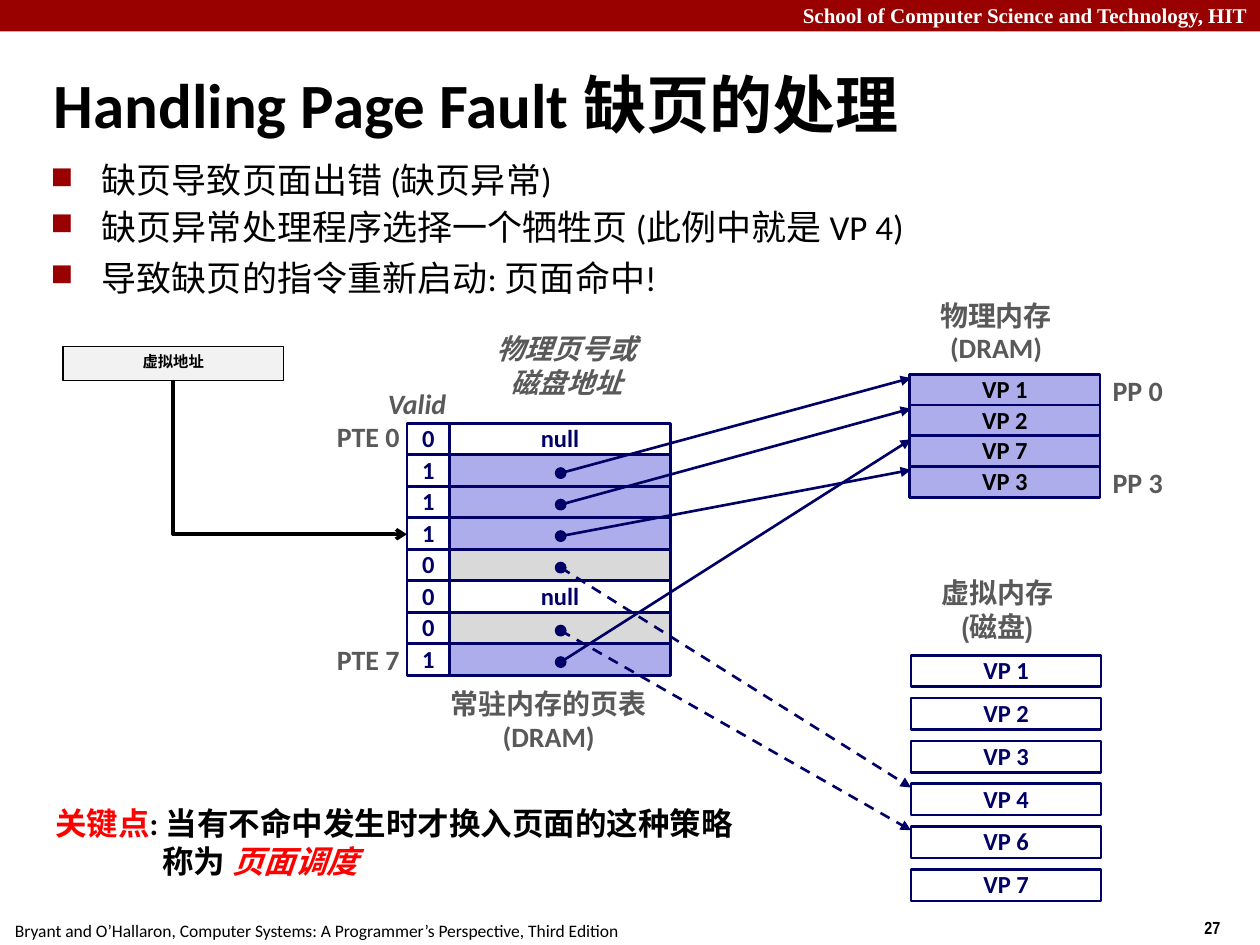
from collections import namedtuple

from lxml import etree
from pptx import Presentation
from pptx.dml.color import RGBColor
from pptx.enum.dml import MSO_LINE
from pptx.enum.shapes import MSO_CONNECTOR, MSO_SHAPE
from pptx.enum.text import MSO_ANCHOR, MSO_AUTO_SIZE, PP_ALIGN
from pptx.oxml.ns import qn
from pptx.util import Inches, Pt

BLACK = RGBColor(0x00, 0x00, 0x00)
WHITE = RGBColor(0xFF, 0xFF, 0xFF)
CRIMSON = RGBColor(0x99, 0x00, 0x00)
RED = RGBColor(0xFF, 0x00, 0x00)
NAVY = RGBColor(0x00, 0x00, 0x66)
LILAC = RGBColor(0xAD, 0xAD, 0xEB)
SILVER = RGBColor(0xD9, 0xD9, 0xD9)
PALE = RGBColor(0xF2, 0xF2, 0xF2)
GRAY = RGBColor(0x59, 0x59, 0x59)
RECT, OVAL = MSO_SHAPE.RECTANGLE, MSO_SHAPE.OVAL
STRAIGHT, ELBOW = MSO_CONNECTOR.STRAIGHT, MSO_CONNECTOR.ELBOW
LEFT, CENTER, RIGHT = PP_ALIGN.LEFT, PP_ALIGN.CENTER, PP_ALIGN.RIGHT
TOP, MIDDLE = MSO_ANCHOR.TOP, MSO_ANCHOR.MIDDLE
FIT, FIXED = MSO_AUTO_SIZE.SHAPE_TO_FIT_TEXT, MSO_AUTO_SIZE.NONE
DASH = MSO_LINE.DASH

ROW = 0.25
Style = namedtuple("Style", "size color font bold italic", defaults=("Calibri", True, False))
CELL = Style(14, NAVY)
LABEL = Style(16, GRAY)
CJK_LABEL = Style(16, GRAY, "Arial Narrow")


def inches(*values):
    """Convert numbers to lengths in inches."""
    return [Inches(v) for v in values]


def write(tf, lines, align=LEFT, anchor=TOP, spacing=None, wrap=False):
    """Fill a text frame with lines, each a list of (text, style) runs."""
    tf.word_wrap, tf.vertical_anchor = wrap, anchor
    for i, line in enumerate(lines):
        p = tf.add_paragraph() if i else tf.paragraphs[0]
        p.alignment, p.line_spacing = align, spacing
        for text, style in line:
            r = p.add_run()
            r.text = text
            r.font.size, r.font.name = Pt(style.size), style.font
            r.font.bold, r.font.italic = style.bold, style.italic
            r.font.color.rgb = style.color


def add_text(s, box, lines, grow=True, **layout):
    """Add a text box and return its text frame."""
    tf = s.shapes.add_textbox(*inches(*box)).text_frame
    write(tf, lines, **layout)
    tf.auto_size = FIT if grow else FIXED
    return tf


def add_box(s, box, fill, line=NAVY, width=1.5, kind=RECT):
    """Add a preset shape without shadow."""
    sp = s.shapes.add_shape(kind, *inches(*box))
    sp.shadow.inherit = False
    if fill is None:
        sp.fill.background()
    else:
        sp.fill.solid()
        sp.fill.fore_color.rgb = fill
    if line is None:
        sp.line.fill.background()
    else:
        sp.line.color.rgb, sp.line.width = line, Pt(width)
    return sp


def add_arrow(s, ends, color=NAVY, width=1.5, dashed=False, kind=STRAIGHT, head="triangle"):
    """Add a connector with an arrowhead at its end."""
    cxn = s.shapes.add_connector(kind, *inches(*ends))
    cxn.line.color.rgb, cxn.line.width = color, Pt(width)
    if dashed:
        cxn.line.dash_style = DASH
    etree.SubElement(cxn.line._get_or_add_ln(), qn("a:tailEnd"), type=head)
    etree.SubElement(cxn._element.spPr, qn("a:effectLst"))
    return cxn


def stack(s, box, labels, fills, style):
    """Stack evenly spaced labelled rows in a box and return their tops."""
    x, y, w, h = box
    pitch = (h - ROW) / (len(labels) - 1)
    tops = [y + i * pitch for i in range(len(labels))]
    for top, label, fill in zip(tops, labels, fills):
        sp = add_box(s, (x, top, w, ROW), fill)
        if label:
            write(sp.text_frame, [[(label, style)]], CENTER, MIDDLE, 0.98)
    return tops


def frame(s, w, h):
    """Draw the header band, footer and page number."""
    add_box(s, (0, 0, w, h / 30), CRIMSON, None)
    add_text(s, (0, -0.03, w, 0.3), [[("School of Computer Science and Technology, HIT",
             Style(12, WHITE, "Times New Roman"))]], align=RIGHT, wrap=True)
    add_text(s, (0.02, h - 0.25, 5.01, 0.27), [[(
        "Bryant and O’Hallaron, Computer Systems: A Programmer’s Perspective, Third Edition",
        Style(10, BLACK, bold=False))]])
    add_text(s, (w - 0.54, h - 0.27, 0.75, 0.27), [[("27", Style(10, BLACK, "Arial Narrow"))]])


def bullets(s, box, items):
    """Write a list with square bullets."""
    style = Style(20, BLACK, bold=False)
    tf = add_text(s, box, [[(item, style)] for item in items], grow=False, wrap=True)
    for i, p in enumerate(tf.paragraphs):
        pPr = p._p.get_or_add_pPr()
        pPr.set("marL", str(Inches(0.38)))
        pPr.set("indent", str(-Inches(0.38)))
        color = etree.SubElement(pPr, qn("a:buClr"))
        etree.SubElement(color, qn("a:srgbClr"), val=str(CRIMSON))
        etree.SubElement(pPr, qn("a:buSzPct"), val="60000")
        etree.SubElement(pPr, qn("a:buFont"), typeface="Wingdings 2", charset="2")
        etree.SubElement(pPr, qn("a:buChar"), char="¢")
        p.line_spacing = 0.9 if i < 2 else 1.0
        p.space_before = Pt(5 if i else 0)


def page_table(s, box):
    """Draw the page table and return the pointer origins by row."""
    x, y, w, h = box
    flag_w = 0.34
    fills = [WHITE, LILAC, LILAC, LILAC, SILVER, WHITE, SILVER, LILAC]
    labels = ["null" if fill == WHITE else "" for fill in fills]
    tops = stack(s, (x + flag_w, y, w - flag_w, h), labels, fills, CELL)
    stack(s, (x, y, flag_w, h), "01110001", [None] * 8, CELL)
    dots = {}
    for i, top in enumerate(tops):
        if not labels[i]:
            cx, cy = x + 1.22, top + ROW / 2 + 0.02
            add_box(s, (cx - 0.04, cy - 0.04, 0.08, 0.08), NAVY, width=1, kind=OVAL)
            dots[i] = cx, cy
    for text, top in (("PTE 0", y - 0.07), ("PTE 7", y + 1.7)):
        add_text(s, (x - 0.66, top, 0.7, 0.36), [[(text, LABEL)]],
                 align=RIGHT, anchor=MIDDLE, spacing=0.98)
    add_text(s, (x - 0.25, y - 0.33, 0.75, 0.36),
             [[("Valid", LABEL._replace(italic=True))]], spacing=0.98, wrap=True)
    slanted = CJK_LABEL._replace(italic=True)
    add_text(s, (x + 0.61, y - 0.78, 1.31, 0.64),
             [[("物理页号或", slanted)], [("磁盘地址", slanted)]], align=CENTER, anchor=MIDDLE)
    add_text(s, (x + 0.25, y + h + 0.05, 1.75, 0.63),
             [[("常驻内存的页表", CJK_LABEL)], [("(DRAM)", LABEL)]], align=CENTER, spacing=0.98)
    return dots


def memory(s, box, caption, pages, fill, style, rise, spacing=None):
    """Draw a memory with a caption rising above it and return the top of each page."""
    x, y, w, h = box
    add_text(s, (x - 0.07, y - rise, w, 0.64), caption, align=CENTER, spacing=spacing)
    return stack(s, box, pages, [fill] * len(pages), style)


def address_input(s, box, end):
    """Draw the virtual address and its bent arrow to the page table."""
    x, y, w, h = box
    sp = add_box(s, box, PALE, BLACK, 1)
    write(sp.text_frame, [[("虚拟地址", Style(8.8, BLACK, "Arial Narrow"))]],
          CENTER, MIDDLE, 0.8, True)
    x1, y1, x2, y2 = x + w / 2, y + h, *end
    cx, cy, run, drop = (x1 + x2) / 2, (y1 + y2) / 2, x2 - x1, y2 - y1
    ends = cx - drop / 2, cy - run / 2, cx + drop / 2, cy + run / 2
    cxn = add_arrow(s, ends, BLACK, 2, kind=ELBOW, head="arrow")
    spPr = cxn._element.spPr
    spPr.find(qn("a:prstGeom")).set("prst", "bentConnector2")
    xfrm = spPr.find(qn("a:xfrm"))
    xfrm.set("rot", "16200000")
    xfrm.set("flipH", "1")


def key_point(s, box):
    """Write the conclusion with an indented second line."""
    black, red = Style(18, BLACK), Style(18, RED)
    tf = add_text(s, box, [[("关键点", red), (": 当有不命中发生时才换入页面的这种策略", black)],
                           [("称为 ", black), ("页面调度", red._replace(italic=True))]], wrap=True)
    tf.paragraphs[1]._p.get_or_add_pPr().set("marL", str(Inches(0.85)))


def main():
    """Build and save the slide."""
    prs = Presentation()
    w, h = 10, 7.5
    prs.slide_width, prs.slide_height = inches(w, h)
    s = prs.slides.add_slide(prs.slide_layouts[6])
    frame(s, w, h)
    add_text(s, (0.33, 0.39, 9.06, 0.86), [[("Handling Page Fault 缺页的处理", Style(36, BLACK))]],
             grow=False, anchor=MIDDLE, wrap=True)
    bullets(s, (0.33, 1.25, 9.09, 1.24), ["缺页导致页面出错 (缺页异常)",
            "缺页异常处理程序选择一个牺牲页 (此例中就是 VP 4)", "导致缺页的指令重新启动: 页面命中!"])
    dots = page_table(s, (3.23, 3.36, 2.09, 8 * ROW))
    dram = memory(s, (7.22, 2.97, 1.51, 0.98), [[("物理内存", CJK_LABEL)], [("(DRAM)", LABEL)]],
                  ["VP 1", "VP 2", "VP 7", "VP 3"], LILAC, CELL._replace(color=BLACK), 0.64, 0.98)
    for text, top in (("PP 0", dram[0]), ("PP 3", dram[3])):
        add_text(s, (8.73, top - 0.04, 0.6, 0.36), [[(text, LABEL)]],
                 align=CENTER, anchor=MIDDLE, spacing=0.98)
    disk = memory(s, (7.23, 5.2, 1.51, 1.95), [[("虚拟内存", CJK_LABEL)], [("(磁盘)", CJK_LABEL)]],
                  [f"VP {n}" for n in (1, 2, 3, 4, 6, 7)], WHITE, CELL, 0.68)
    targets = {1: dram[0], 2: dram[1], 3: dram[3], 4: disk[3], 6: disk[4], 7: dram[2]}
    for row, top in targets.items():
        add_arrow(s, (*dots[row], 7.23, top + 0.03), dashed=top in disk)
    address_input(s, (0.5, 2.75, 1.75, 0.27), (3.23, 4.24))
    key_point(s, (0.34, 6.33, 6.33, 0.7))
    prs.save("out.pptx")


if __name__ == "__main__":
    main()
